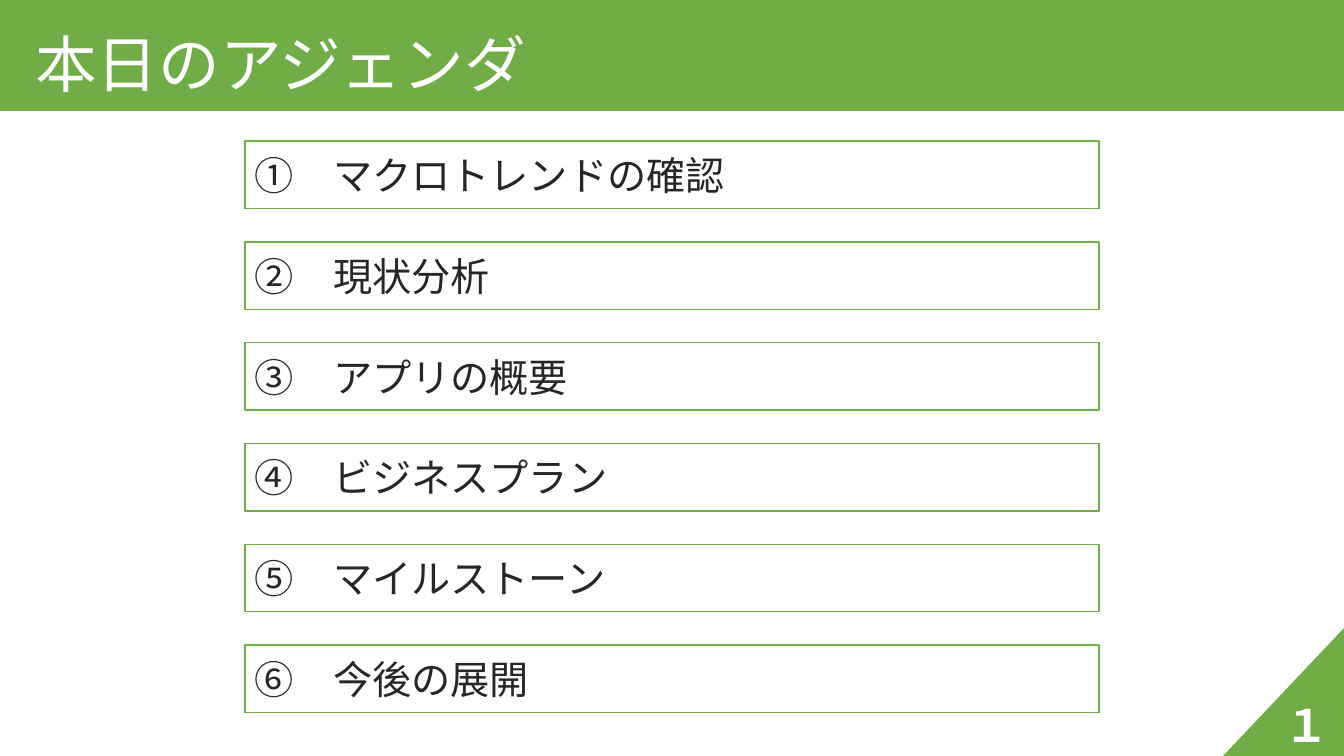
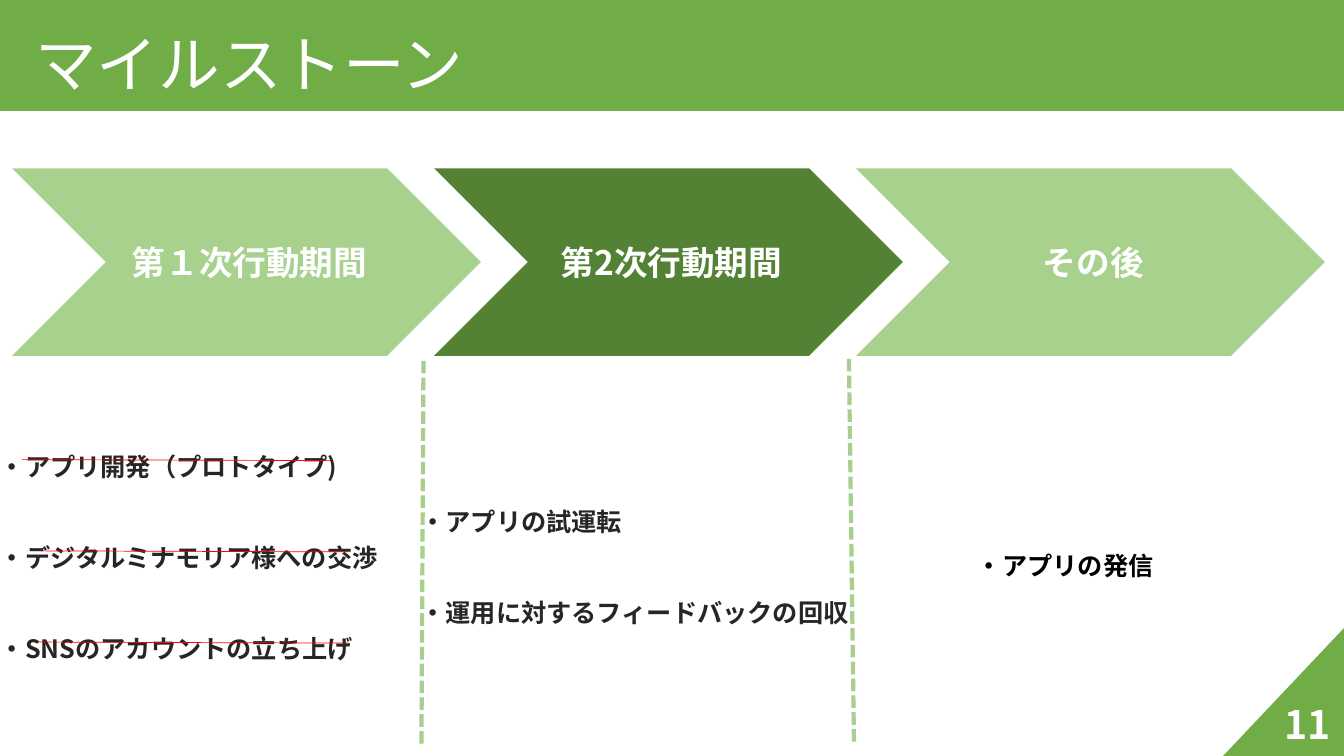
import dataclasses

import lxml.etree
import pptx
import pptx.dml.color
import pptx.enum.dml
import pptx.enum.shapes
import pptx.enum.text
import pptx.oxml.ns
import pptx.util

SHAPES = pptx.enum.shapes.MSO_SHAPE
ALIGN = pptx.enum.text.PP_ALIGN
ANCHOR = pptx.enum.text.MSO_ANCHOR
COLUMNS = 133.3
ROWS = 75


@dataclasses.dataclass(frozen=True)
class Theme:
    font: str = "Noto Sans CJK JP"
    green: str = "70AD47"
    light_green: str = "A9D18E"
    dark_green: str = "548235"
    divider: str = "A7CF8D"
    white: str = "FFFFFF"
    ink: str = "262626"
    black: str = "000000"
    red: str = "FF0000"
    title_size: int = 44
    agenda_size: int = 28
    phase_size: int = 24
    note_size: int = 18


class Deck:
    def __init__(self, theme):
        self.theme = theme
        self.presentation = pptx.Presentation()
        self.presentation.slide_width = pptx.util.Inches(13.33)
        self.presentation.slide_height = pptx.util.Inches(7.5)
        self.slide = None

    def columns(self, count):
        return round(self.presentation.slide_width * count / COLUMNS)

    def rows(self, count):
        return round(self.presentation.slide_height * count / ROWS)

    def box(self, left, top, width, height):
        return self.columns(left), self.rows(top), self.columns(width), self.rows(height)

    def color(self, value):
        return pptx.dml.color.RGBColor.from_string(value)

    def shape(self, kind, area, fill, line=None):
        shape = self.slide.shapes.add_shape(kind, *self.box(*area))
        shape.shadow.inherit = False
        shape.fill.solid()
        shape.fill.fore_color.rgb = self.color(fill)
        if line:
            shape.line.color.rgb = self.color(line)
            shape.line.width = pptx.util.Pt(1)
        else:
            shape.line.fill.background()
        return shape

    def set_text(self, shape, text, size, color, bold=False, align=ALIGN.LEFT,
                 anchor=ANCHOR.MIDDLE, insets=(1, 0.5, 1, 0.5), wrap=True):
        frame = shape.text_frame
        frame.text = text
        frame.word_wrap = wrap
        frame.vertical_anchor = anchor
        left, top, right, bottom = insets
        frame.margin_left, frame.margin_right = self.columns(left), self.columns(right)
        frame.margin_top, frame.margin_bottom = self.rows(top), self.rows(bottom)
        for paragraph in frame.paragraphs:
            paragraph.alignment = align
            for run in paragraph.runs:
                run.font.name = self.theme.font
                run.font.size = pptx.util.Pt(size)
                run.font.bold = bold
                run.font.color.rgb = self.color(color)
                east_asian = lxml.etree.SubElement(
                    run.font._element, pptx.oxml.ns.qn("a:ea"))
                east_asian.set("typeface", self.theme.font)
        return frame

    def new_slide(self, title, number, number_size):
        layout = self.presentation.slide_layouts[6]
        self.slide = self.presentation.slides.add_slide(layout)
        band = self.shape(SHAPES.RECTANGLE, (0, 0, COLUMNS, 11), self.theme.green)
        self.set_text(band, title, self.theme.title_size, self.theme.white,
                      insets=(3.5, 1.4, 1, 0))
        corner = self.shape(SHAPES.RIGHT_TRIANGLE, (120.9, 62.6, 12.8, 12.1),
                            self.theme.green)
        corner.rotation = 270
        page = self.slide.shapes.add_textbox(*self.box(126, 68.7, 7.3, 6.3))
        self.set_text(page, number, number_size, self.theme.white, bold=True,
                      align=ALIGN.CENTER, insets=(0, 0, 0, 0))

    def agenda_row(self, text, top):
        row = self.shape(SHAPES.RECTANGLE, (24.3, top, 84.7, 6.7),
                         self.theme.white, self.theme.green)
        self.set_text(row, text, self.theme.agenda_size, self.theme.ink)

    def phase(self, text, left, fill):
        chevron = self.shape(SHAPES.CHEVRON, (left, 16.7, 46.5, 18.6), fill)
        self.set_text(chevron, text, self.theme.phase_size, self.theme.white,
                      bold=True, align=ALIGN.CENTER, insets=(1, 0.4, 0.4, 0.4))

    def notes(self, items, area, color, pitch=32.5):
        notes = self.slide.shapes.add_textbox(*self.box(*area))
        frame = self.set_text(notes, "\n".join(items), self.theme.note_size, color,
                              bold=True, anchor=ANCHOR.TOP,
                              insets=(0, 0.5, 0, 0.5), wrap=False)
        for index, paragraph in enumerate(frame.paragraphs):
            paragraph.line_spacing = pptx.util.Pt(pitch)
            paragraph.space_before = pptx.util.Pt(pitch if index else 0)

    def line(self, start, end, color, width, dash=None):
        connector = self.slide.shapes.add_connector(
            pptx.enum.shapes.MSO_CONNECTOR.STRAIGHT,
            self.columns(start[0]), self.rows(start[1]),
            self.columns(end[0]), self.rows(end[1]))
        connector.line.color.rgb = self.color(color)
        connector.line.width = pptx.util.Pt(width)
        if dash:
            connector.line.dash_style = dash
        lxml.etree.SubElement(connector._element.spPr, pptx.oxml.ns.qn("a:effectLst"))

    def divider(self, start, end):
        self.line(start, end, self.theme.divider, 3,
                  pptx.enum.dml.MSO_LINE.SQUARE_DOT)

    def strike(self, left, top):
        self.line((left, top), (left + 30.7, top + 0.1), self.theme.red, 0.5)


def build_agenda(deck):
    deck.new_slide("本日のアジェンダ", "１", 32)
    topics = ("①　マクロトレンドの確認", "②　現状分析", "③　アプリの概要",
              "④　ビジネスプラン", "⑤　マイルストーン", "⑥　今後の展開")
    for index, topic in enumerate(topics):
        deck.agenda_row(topic, 14 + 10 * index)


def build_milestones(deck):
    theme = deck.theme
    deck.new_slide("マイルストーン", "11", 28)
    phases = (("第１次行動期間", theme.light_green),
              ("第2次行動期間", theme.dark_green),
              ("その後", theme.light_green))
    for index, (label, fill) in enumerate(phases):
        deck.phase(label, 1.2 + 41.85 * index, fill)
    deck.divider((42, 35.8), (41.8, 73.8))
    deck.divider((84.2, 35.6), (84.7, 73.6))
    deck.notes(("・アプリ開発（プロトタイプ)", "・デジタルミナモリア様への交渉",
                "・SNSのアカウントの立ち上げ"), (0, 42.8, 38.3, 26.8), theme.ink)
    deck.notes(("・アプリの試運転", "・運用に対するフィードバックの回収"),
               (41.7, 48.2, 42.9, 17.7), theme.ink)
    deck.notes(("・アプリの発信",), (96.9, 53.9, 17.7, 4), theme.black, pitch=23)
    for index, left in enumerate((2.2, 3.8, 3.8)):
        deck.strike(left, 45.6 + 9.05 * index)


def main():
    deck = Deck(Theme())
    build_agenda(deck)
    build_milestones(deck)
    deck.presentation.save("out.pptx")


if __name__ == "__main__":
    main()
